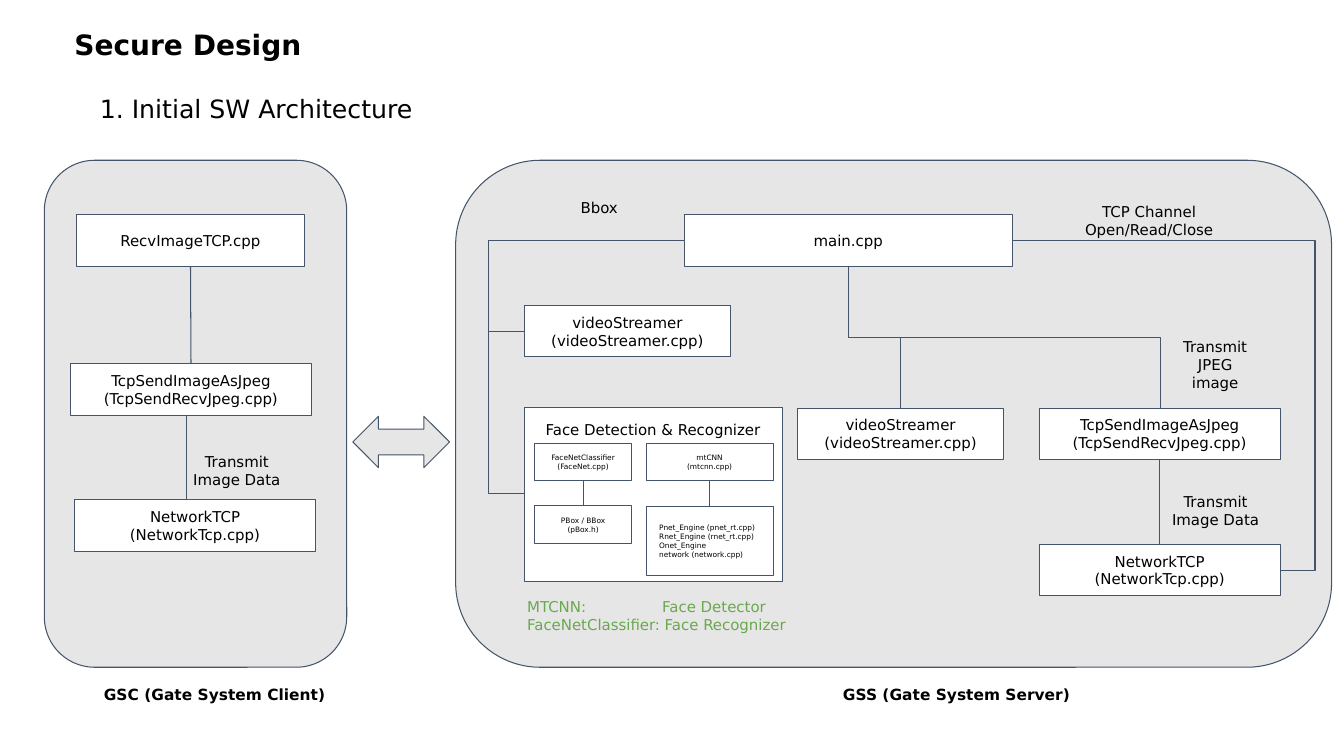
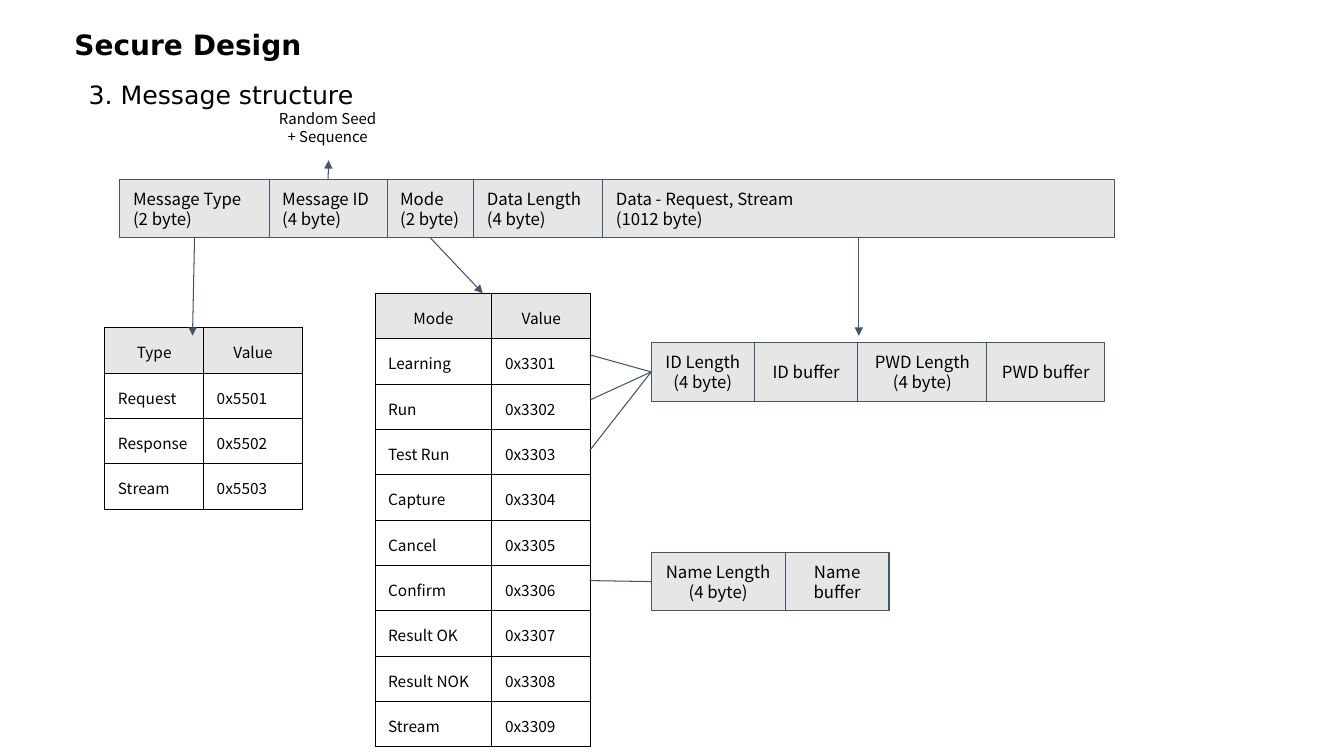
from dataclasses import dataclass
from typing import NamedTuple, Optional, Union

from lxml import etree
from pptx import Presentation
from pptx import util as u
from pptx.dml.color import RGBColor
from pptx.enum import shapes, text
from pptx.oxml.ns import qn
from pptx.shapes.autoshape import Shape
from pptx.shapes.connector import Connector
from pptx.slide import Slide

# Grid: every length below counts columns or rows of a tenth of an inch
COLUMNS, ROWS = 133.33, 75
INSET = 1.3

# Shared look
BLACK = RGBColor(0x00, 0x00, 0x00)
WHITE = RGBColor(0xFF, 0xFF, 0xFF)
GRAY = RGBColor(0xE7, 0xE6, 0xE6)
SLATE = RGBColor(0x44, 0x54, 0x6A)
GREEN = RGBColor(0x6A, 0xA8, 0x4F)
SANS, CJK = "DejaVu Sans", "Noto Sans CJK KR"
LINE_WIDTH = u.Pt(0.75)
LEFT, CENTER = text.PP_ALIGN.LEFT, text.PP_ALIGN.CENTER
TOP, MIDDLE = text.MSO_ANCHOR.TOP, text.MSO_ANCHOR.MIDDLE
RECTANGLE = shapes.MSO_SHAPE.RECTANGLE


class Area(NamedTuple):
    left: float
    top: float
    width: float
    height: float


class Point(NamedTuple):
    x: float
    y: float


class Joint(NamedTuple):
    shape: Shape
    site: int  # 0 top, 1 left, 2 bottom, 3 right


End = Union[Point, Joint]


@dataclass(frozen=True)
class Style:
    size: float = 10.7
    font: str = SANS
    color: RGBColor = BLACK
    bold: bool = False
    align: text.PP_ALIGN = CENTER
    anchor: text.MSO_ANCHOR = MIDDLE
    inset: float = INSET
    spacing: Optional[float] = None


@dataclass(frozen=True)
class Block:
    area: Area
    words: str
    style: Style


TITLE = Style(20, bold=True, align=LEFT, anchor=TOP, inset=0.5, spacing=0.9)
SUBTITLE = Style(18, align=LEFT, anchor=TOP)
MODULE = Style()
LABEL = Style(anchor=TOP)
LEFT_LABEL = Style(align=LEFT, anchor=TOP)
LEGEND = Style(color=GREEN, align=LEFT, anchor=TOP)
CAPTION = Style(11, bold=True, anchor=TOP)
SMALL = Style(5.3)
SMALL_LIST = Style(5.3, align=LEFT)
FIELD = Style(12, CJK)
LEFT_FIELD = Style(12, CJK, align=LEFT)
NOTE = Style(10.7, CJK, anchor=TOP)
HEADER_CELL = Style(11, CJK, anchor=TOP)
BODY_CELL = Style(11, CJK, align=LEFT, anchor=TOP)


def cells(count: float) -> u.Emu:
    return u.Emu(round(u.Inches(1) * count / 10))


def fill_paragraphs(frame, words: str, style: Style) -> None:
    for index, line_words in enumerate(words.split("\n")):
        paragraph = frame.paragraphs[0] if index == 0 else frame.add_paragraph()
        paragraph.alignment = style.align
        if style.spacing:
            paragraph.line_spacing = style.spacing
        run = paragraph.add_run()
        run.text = line_words
        run.font.size = u.Pt(style.size)
        run.font.name = style.font
        run.font.bold = style.bold
        run.font.color.rgb = style.color


def set_margins(holder, inset: float) -> None:
    holder.margin_left = holder.margin_right = cells(inset)
    holder.margin_top = holder.margin_bottom = cells(inset)


def write(shape: Shape, words: str, style: Style) -> None:
    frame = shape.text_frame
    frame.word_wrap = True
    frame.vertical_anchor = style.anchor
    set_margins(frame, style.inset)
    if style.inset == 0.5:
        frame.margin_left = frame.margin_right = cells(1)
    fill_paragraphs(frame, words, style)


def add_label(slide: Slide, block: Block) -> Shape:
    shape = slide.shapes.add_textbox(*map(cells, block.area))
    write(shape, block.words, block.style)
    return shape


def add_box(slide: Slide, area: Area, words: str = "", style: Style = MODULE,
            fill: RGBColor = WHITE, kind: shapes.MSO_SHAPE = RECTANGLE) -> Shape:
    shape = slide.shapes.add_shape(kind, *map(cells, area))
    shape.shadow.inherit = False
    shape.fill.solid()
    shape.fill.fore_color.rgb = fill
    shape.line.color.rgb = SLATE
    shape.line.width = LINE_WIDTH
    if words:
        write(shape, words, style)
    return shape


def finish_line(connector: Connector) -> None:
    connector.line.color.rgb = SLATE
    connector.line.width = LINE_WIDTH
    etree.SubElement(connector._element.spPr, qn("a:effectLst"))


def locate(end: End) -> tuple[int, int]:
    if isinstance(end, Point):
        return cells(end.x), cells(end.y)
    shape, site = end
    across = (0.5, 0, 0.5, 1)[site]
    down = (0, 0.5, 1, 0.5)[site]
    return (round(shape.left + shape.width * across),
            round(shape.top + shape.height * down))


def add_line(slide: Slide, start: End, finish: End, arrow: bool = False) -> None:
    connector = slide.shapes.add_connector(
        shapes.MSO_CONNECTOR.STRAIGHT, *locate(start), *locate(finish))
    if isinstance(start, Joint):
        connector.begin_connect(start.shape, start.site)
    if isinstance(finish, Joint):
        connector.end_connect(finish.shape, finish.site)
    finish_line(connector)
    if arrow:
        tail = etree.SubElement(connector.line._get_or_add_ln(), qn("a:tailEnd"))
        tail.set("type", "triangle")


def add_elbow(slide: Slide, start: Point, finish: Point, bend: float = 0.5,
              vertical: bool = False) -> None:
    """Bend at a share of the run; a vertical elbow leaves downwards."""
    if vertical:
        middle = Point((start.x + finish.x) / 2, (start.y + finish.y) / 2)
        half_run, half_rise = (finish.y - start.y) / 2, (finish.x - start.x) / 2
        start = Point(middle.x + half_run, middle.y - half_rise)
        finish = Point(middle.x - half_run, middle.y + half_rise)
    connector = slide.shapes.add_connector(
        shapes.MSO_CONNECTOR.ELBOW, *locate(start), *locate(finish))
    properties = connector._element.spPr
    if vertical:
        properties.find(qn("a:xfrm")).set("rot", str(270 * 60000))
    geometry = properties.find(qn("a:prstGeom"))
    adjustments = geometry.find(qn("a:avLst"))
    if adjustments is None:
        adjustments = etree.SubElement(geometry, qn("a:avLst"))
    guide = etree.SubElement(adjustments, qn("a:gd"))
    guide.set("name", "adj1")
    guide.set("fmla", f"val {round(bend * 100000)}")
    finish_line(connector)


def add_field_row(slide: Slide, left: float, top: float, style: Style,
                  fields: list[tuple[float, str]]) -> list[Shape]:
    row = []
    for width, words in fields:
        row.append(add_box(slide, Area(left, top, width, 5.8), words, style, GRAY))
        left += width
    return row


def add_code_table(slide: Slide, left: float, top: float, widths: tuple[float, float],
                   heading: str, names: list[str], first_code: int) -> None:
    row_height = 4.5
    rows = [(heading, "Value")]
    rows += [(name, f"0x{first_code + i:04X}") for i, name in enumerate(names)]
    area = Area(left, top, sum(widths), row_height * len(rows))
    table = slide.shapes.add_table(len(rows), 2, *map(cells, area)).table
    table.first_row = table.horz_banding = False
    for column, width in zip(table.columns, widths):
        column.width = cells(width)
    for row_index, row in enumerate(rows):
        table.rows[row_index].height = cells(row_height)
        for column_index, words in enumerate(row):
            cell = table.cell(row_index, column_index)
            style = BODY_CELL if row_index else HEADER_CELL
            set_margins(cell, INSET)
            cell.vertical_anchor = style.anchor
            fill_paragraphs(cell.text_frame, words, style)
            properties = cell._tc.get_or_add_tcPr()
            for side in ("lnL", "lnR", "lnT", "lnB"):
                border = etree.SubElement(properties, qn(f"a:{side}"), w=str(u.Pt(0.75)))
                paint = etree.SubElement(border, qn("a:solidFill"))
                etree.SubElement(paint, qn("a:srgbClr"), val=str(BLACK))
            cell.fill.solid()
            cell.fill.fore_color.rgb = WHITE if row_index else GRAY


def add_headed_slide(presentation, subtitle: str, area: Area) -> Slide:
    slide = presentation.slides.add_slide(presentation.slide_layouts[6])
    add_label(slide, Block(Area(6.4, 2.6, 115, 9.1), "Secure Design", TITLE))
    add_label(slide, Block(area, subtitle, SUBTITLE))
    return slide


def build_architecture(presentation) -> None:
    slide = add_headed_slide(presentation, "1. Initial SW Architecture",
                             Area(8.6, 8, 68.9, 5.7))
    streamer = "videoStreamer\n(videoStreamer.cpp)"
    sender = "TcpSendImageAsJpeg\n(TcpSendRecvJpeg.cpp)"
    network = "NetworkTCP\n(NetworkTcp.cpp)"

    # Panels and the link between them
    add_box(slide, Area(35, 41.3, 9.6, 5.1), fill=GRAY,
            kind=shapes.MSO_SHAPE.LEFT_RIGHT_ARROW)
    for left, width in ((4.4, 30), (45.2, 86.9)):
        add_box(slide, Area(left, 15.9, width, 50.3), fill=GRAY,
                kind=shapes.MSO_SHAPE.ROUNDED_RECTANGLE)

    def module(left: float, top: float, width: float, words: str) -> Shape:
        return add_box(slide, Area(left, top, width, 5.1), words)

    # Client modules
    receiver = module(7.6, 21.3, 22.6, "RecvImageTCP.cpp")
    client_sender = module(7, 36.1, 23.9, sender)
    module(7.4, 49.6, 23.9, network)
    add_line(slide, Joint(receiver, 2), Joint(client_sender, 0))
    add_line(slide, Point(18.5, 41.2), Point(18.5, 49.6))

    # Server modules
    module(67.9, 21.3, 32.5, "main.cpp")
    module(52, 30.3, 20.5, streamer)
    module(79.1, 40.5, 20.5, streamer)
    server_sender = module(103.1, 40.5, 23.9, sender)
    server_network = module(103.1, 54, 23.9, network)
    add_line(slide, Joint(server_sender, 2), Joint(server_network, 0))

    # Face detection group
    add_box(slide, Area(52, 40.4, 25.6, 17.3), "Face Detection & Recognizer", LABEL)
    engines = ("Pnet_Engine (pnet_rt.cpp)\nRnet_Engine (rnet_rt.cpp)\n"
               "Onet_Engine\nnetwork (network.cpp)")
    for left, width, upper, lower, height, style in (
            (53, 9.7, "FaceNetClassifier\n(FaceNet.cpp)", "PBox / BBox\n(pBox.h)", 3.7, SMALL),
            (64.1, 12.6, "mtCNN\n(mtcnn.cpp)", engines, 6.9, SMALL_LIST)):
        parent = add_box(slide, Area(left, 44, width, 3.7), upper, SMALL)
        child = add_box(slide, Area(left, 50.2, width, height), lower, style)
        add_line(slide, Joint(parent, 2), Joint(child, 0))

    # Branches from the main module
    for x in (89.3, 115.1):
        add_elbow(slide, Point(84.2, 26.4), Point(x, 40.5), vertical=True)
    for y in (32.9, 49):
        add_elbow(slide, Point(67.9, 23.9), Point(52, y), bend=1.22)
    add_elbow(slide, Point(100.4, 23.9), Point(127, 56.6), bend=1.13)

    # Labels and captions
    for block in (
            Block(Area(56.3, 18.8, 8.8, 4.5), "Bbox", LEFT_LABEL),
            Block(Area(105.9, 18.8, 16.2, 6.3), "TCP Channel\nOpen/Read/Close", LABEL),
            Block(Area(113, 32.2, 15.1, 8.1), "Transmit\nJPEG\nimage", LABEL),
            Block(Area(113.8, 47.6, 13.6, 6.3), "Transmit\nImage Data", LABEL),
            Block(Area(16.7, 43.6, 13.6, 6.3), "Transmit\nImage Data", LABEL),
            Block(Area(79.9, 67.1, 30, 4.7), "GSS (Gate System Server)", CAPTION),
            Block(Area(6.3, 67.1, 30, 4.7), "GSC (Gate System Client)", CAPTION)):
        add_label(slide, block)
    legend = add_label(slide, Block(
        Area(51, 58, 31.4, 6.3),
        "MTCNN:\tFace Detector\nFaceNetClassifier: Face Recognizer", LEGEND))
    properties = legend.text_frame.paragraphs[0]._p.get_or_add_pPr()
    stops = etree.SubElement(properties, qn("a:tabLst"))
    etree.SubElement(stops, qn("a:tab"), pos=str(cells(13.4)), algn="l")


def build_messages(presentation) -> None:
    slide = add_headed_slide(presentation, "3. Message structure",
                             Area(7.5, 6.6, 84.7, 5.7))

    # Message layout
    kind, identity, mode, _, data = add_field_row(slide, 11.9, 17.8, LEFT_FIELD, [
        (14.8, "Message Type\n(2 byte)"), (11.7, "Message ID\n(4 byte)"),
        (8.6, "Mode\n(2 byte)"), (12.8, "Data Length\n(4 byte)"),
        (50.8, "Data - Request, Stream\n(1012 byte)")])
    add_label(slide, Block(Area(25.1, 9.6, 14.8, 6.3), "Random Seed\n+ Sequence", NOTE))

    # Code tables
    add_code_table(slide, 10.4, 32.5, (9.8, 9.8), "Type",
                   ["Request", "Response", "Stream"], 0x5501)
    add_code_table(slide, 37.2, 29.1, (11.6, 9.8), "Mode",
                   ["Learning", "Run", "Test Run", "Capture", "Cancel", "Confirm",
                    "Result OK", "Result NOK", "Stream"], 0x3301)

    # Data layouts
    login = add_field_row(slide, 64.6, 34, FIELD, [
        (10.25, "ID Length\n(4 byte)"), (10.25, "ID buffer"),
        (12.8, "PWD Length\n(4 byte)"), (11.7, "PWD buffer")])
    name = add_field_row(slide, 64.6, 54.8, FIELD, [
        (13.3, "Name Length\n(4 byte)"), (10.3, "Name buffer")])

    # Arrows from fields, lines from modes
    for field, site, target in ((kind, 2, Point(19.1, 33.3)), (identity, 0, Point(32.6, 15.9)),
                                (mode, 2, Point(47.9, 29.1)), (data, 2, Point(85.2, 33.3))):
        add_line(slide, Joint(field, site), target, arrow=True)
    for y, row in ((35.2, login), (39.7, login), (44.7, login), (57.6, name)):
        add_line(slide, Point(58.5, y), Joint(row[0], 1))


def main() -> None:
    presentation = Presentation()
    presentation.slide_width = cells(COLUMNS)
    presentation.slide_height = cells(ROWS)
    build_architecture(presentation)
    build_messages(presentation)
    presentation.save("out.pptx")


if __name__ == "__main__":
    main()
